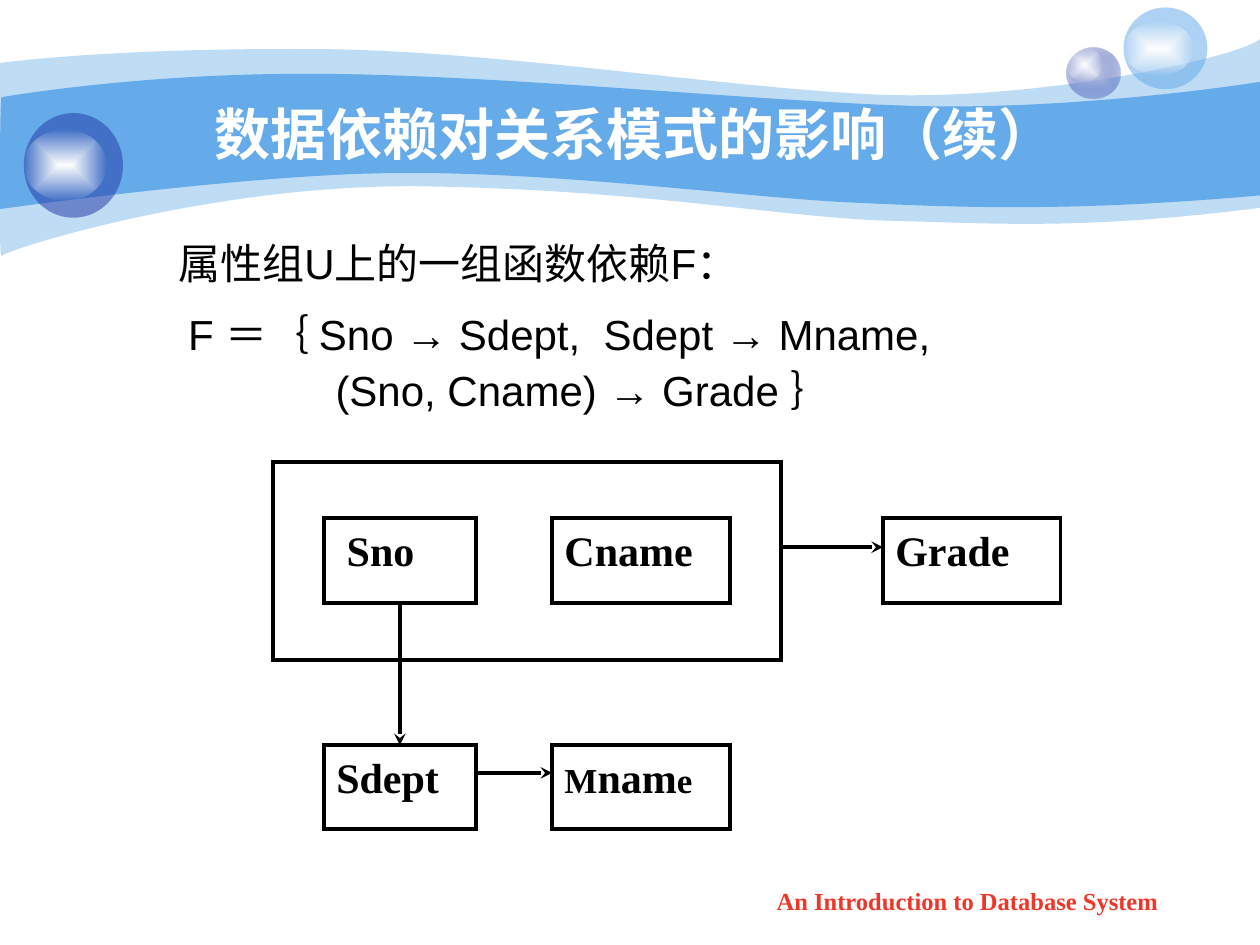
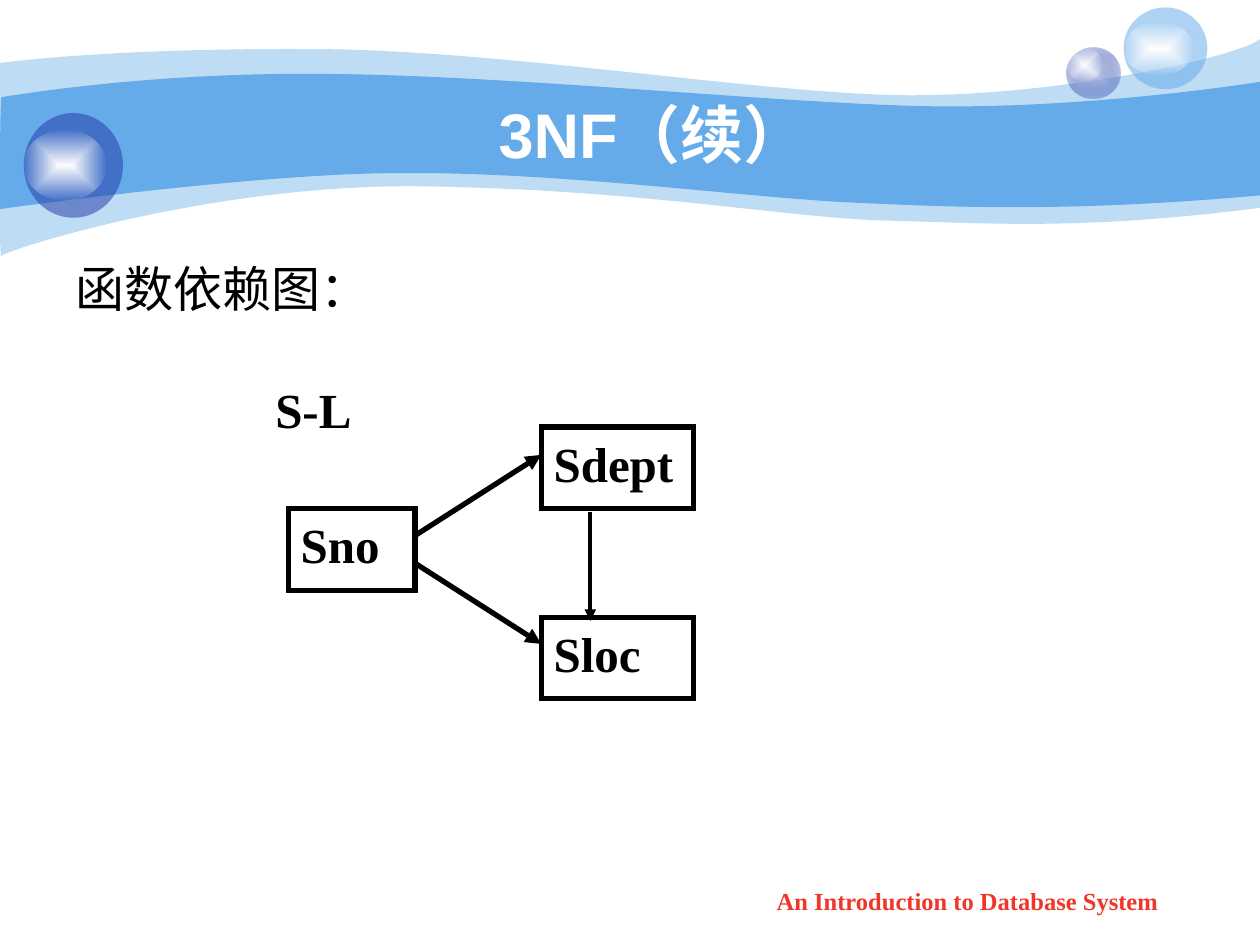
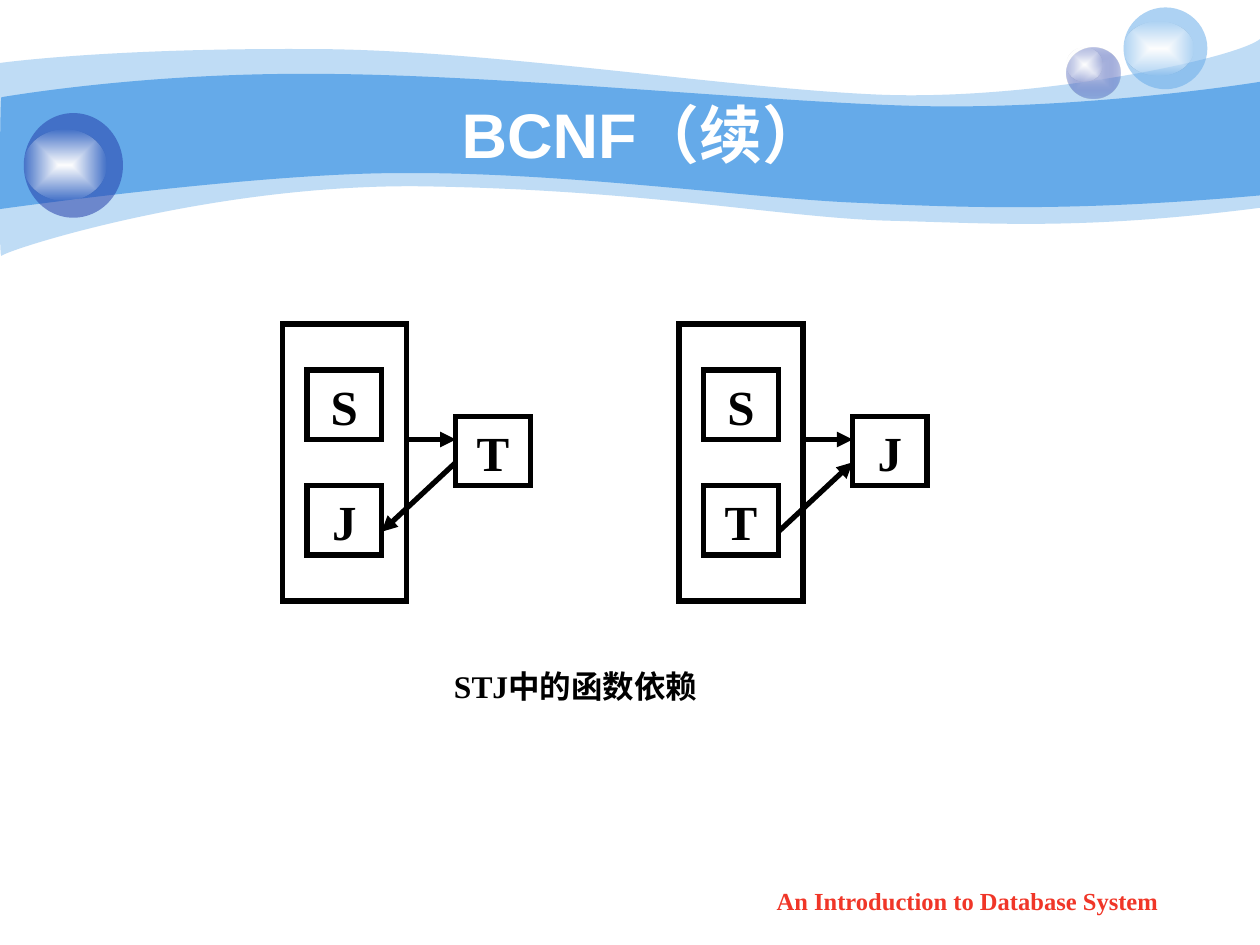
"""Build three slides on functional dependencies and normal forms."""
from dataclasses import dataclass

from lxml import etree
from pptx import Presentation
from pptx import util as u
from pptx.dml.color import RGBColor
from pptx.enum import shapes, text
from pptx.oxml import parse_xml
from pptx.oxml.ns import nsdecls, qn


@dataclass(frozen=True)
class Theme:
    sky: str = "65AAE9"
    navy: str = "233DA9"
    lilac: str = "C7CEE9"
    white: str = "FFFFFF"
    black: str = "000000"
    red: str = "F03628"
    sans: str = "Arial"
    serif: str = "Times New Roman"
    footer_size: int = 14
    caption_size: int = 18
    small_size: int = 20
    label_size: int = 24
    large_size: int = 28
    long_title_size: int = 32
    title_size: int = 36
    thin: float = 2.25
    thick: float = 3


THEME = Theme()
ALIGN = text.PP_ALIGN

FOOTER = "An Introduction to Database System"
FOOTER_BOUNDS = (14.5, 17.73, 10.01, 0.89)
TITLE_BOUNDS = (2.54, 1.9, 20.52, 1.58)

PALE_WAVE = [
    [(0, 1.27)],
    [(0.61, 1.19), (2.74, 0.97), (6.27, 0.99)],
    [(9.8, 0.99), (14.61, 1.78), (17.75, 1.91)],
    [(20.88, 2.03), (24.89, 1.19), (25.4, 0.79)],
    [(25.4, 4.19)],
    [(21.79, 4.65), (20.02, 4.5), (17.91, 4.45)],
    [(15.8, 4.39), (13.08, 3.84), (8.71, 3.76)],
    [(4.37, 3.66), (0.1, 5.05), (0.03, 5.16)],
    [(-0.03, 5.28), (0, 1.91), (0, 1.27)],
]
BLUE_WAVE = [
    [(0.03, 1.96)],
    [(0.05, 1.96), (2.79, 1.47), (6.3, 1.49)],
    [(9.83, 1.49), (15.14, 2.03), (18.24, 2.13)],
    [(21.36, 2.24), (24.79, 1.75), (25.4, 1.65)],
    [(25.4, 3.94)],
    [(21.67, 4.27), (19.43, 4.19), (17.32, 4.09)],
    [(15.21, 4.01), (11.35, 3.46), (8.05, 3.49)],
    [(5.16, 3.49), (-0.05, 4.22), (-0.03, 4.22)],
    [(0, 4.22), (0, 1.96), (0.03, 1.96)],
]
WAVES = [(PALE_WAVE, [(THEME.sky, 41)]), (BLUE_WAVE, [(THEME.sky, 100)])]

GLOW = [(THEME.white, 100), (THEME.white, 0)]
BUBBLES = [
    ((21.51, 0.96, 1.07, 1.02), [(THEME.lilac, 100), (THEME.navy, 31)]),
    ((21.51, 0.96, 0.71, 0.69), GLOW),
    ((22.65, 0.15, 1.69, 1.65), [(THEME.sky, 53)]),
    ((22.65, 0.43, 1.41, 1.09), GLOW),
    ((0.48, 2.28, 2, 2.11), [(THEME.navy, 53)]),
    ((0.48, 2.62, 1.67, 1.42), GLOW),
]

SMALL = {"size": THEME.small_size}
LABEL = {"size": THEME.label_size}
CENTERED = {"alignment": ALIGN.CENTER}
PLAIN = {"outline": None}


def dependency_panel(left, upper, lower, target, lower_is_source):
    """Return the boxes and arrows of one composite-key diagram."""
    letter_left, target_left = left + 0.5, left + 3.5
    boxes = [("", (left, 6.53, 2.5, 5.59), {})]
    for letter, x, y in [(upper, letter_left, 7.46), (lower, letter_left, 9.79),
                         (target, target_left, 8.39)]:
        boxes.append((letter, (x, y, 1.5, 1.4), CENTERED))
    diagonal = [(target_left, 9.32), (letter_left + 1.5, 10.72)]
    if lower_is_source:
        diagonal.reverse()
    arrows = [((left + 2.5, 8.86), (target_left, 8.86), THEME.thick),
              (*diagonal, THEME.thick)]
    return boxes, arrows


PANELS = [dependency_panel(5.69, "S", "J", "T", False),
          dependency_panel(13.69, "S", "T", "J", True)]

SLIDES = [
    {
        "title": ("数据依赖对关系模式的影响（续）", THEME.long_title_size, 0),
        "body_bounds": (2.74, 4.66, 21.59, 11.43),
        "body": [
            ("属性组U上的一组函数依赖F：", 0.6, {}),
            ("F ＝｛ Sno → Sdept,  Sdept → Mname,", 0.8,
             {"space_before": u.Pt(6), "line_spacing": 1.2}),
            ("(Sno, Cname) → Grade ｝", 3.77, {"space_before": u.Pt(3)}),
        ],
        "size": THEME.label_size,
        "outline": THEME.thin,
        "head": "stealth",
        "boxes": [
            ("", (5.51, 9.32, 10.24, 3.99), {}),
            ("Sno", (6.53, 10.45, 3.07, 1.7), {"indent": 0.21}),
            ("Cname", (11.13, 10.45, 3.58, 1.7), {}),
            ("Sdept", (6.53, 15.02, 3.07, 1.7), {}),
            ([("M", SMALL), ("nam", LABEL), ("e", SMALL)],
             (11.13, 15.02, 3.58, 1.7), {}),
            ("Grade", (17.8, 10.45, 3.58, 1.7), {}),
        ],
        "arrows": [
            ((8.06, 12.15), (8.06, 15.02), THEME.thin),
            ((9.6, 15.58), (11.13, 15.58), THEME.thin),
            ((15.75, 11.03), (17.8, 11.03), THEME.thin),
        ],
    },
    {
        "title": ("3NF（续）", THEME.title_size, 0.71),
        "body_bounds": (1.27, 5.08, 22.86, 12.5),
        "body": [("函数依赖图：", 0, {})],
        "size": THEME.large_size,
        "outline": THEME.thick,
        "head": "triangle",
        "boxes": [
            ("S-L", (5.3, 7.52, 3.07, 1.65), PLAIN),
            ("Sno", (5.81, 10.25, 2.56, 1.65), {}),
            ("Sdept", (10.91, 8.61, 3.07, 1.64), {}),
            ("Sloc", (10.91, 12.45, 3.07, 1.64), {}),
        ],
        "arrows": [
            ((8.36, 10.8), (10.91, 9.17), THEME.thick),
            ((8.36, 11.35), (10.91, 12.98), THEME.thick),
            ((11.9, 10.32), (11.9, 12.52), THEME.thin),
        ],
    },
    {
        "title": ("BCNF（续）", THEME.title_size, 0.35),
        "body": [],
        "size": THEME.large_size,
        "outline": THEME.thick,
        "head": "triangle",
        "boxes": [box for boxes, _ in PANELS for box in boxes] + [
            ("STJ中的函数依赖", (8.71, 13.32, 5.79, 1.4),
             {**PLAIN, **CENTERED, "size": THEME.caption_size}),
        ],
        "arrows": [arrow for _, arrows in PANELS for arrow in arrows],
    },
]


def lengths(values):
    """Convert centimetre values to lengths."""
    return [u.Cm(value) for value in values]


def place(shape, bounds):
    """Move and size a shape."""
    for name, value in zip(("left", "top", "width", "height"), lengths(bounds)):
        setattr(shape, name, value)


def write(paragraph, content, formats, indent=0, **paragraph_formats):
    """Fill a paragraph with text or (text, formats) runs."""
    properties = paragraph._p.get_or_add_pPr()
    properties.set("marL", str(u.Cm(indent)))
    properties.set("indent", "0")
    properties.append(parse_xml(f'<a:buNone {nsdecls("a")}/>'))
    for name, value in paragraph_formats.items():
        setattr(paragraph, name, value)
    runs = [(content, {})] if isinstance(content, str) else content
    for words, changes in runs:
        run = paragraph.add_run()
        run.text = words
        values = {**formats, **changes}
        run.font.color.rgb = RGBColor.from_string(values.pop("color"))
        run.font.size = u.Pt(values.pop("size"))
        for name, value in values.items():
            setattr(run.font, name, value)


def set_frame(frame, anchor):
    """Give a text frame fixed size, wrapping and an anchor."""
    settings = {"word_wrap": True, "auto_size": text.MSO_AUTO_SIZE.NONE,
                "vertical_anchor": anchor}
    for name, value in settings.items():
        setattr(frame, name, value)


def paint(shape, stops):
    """Fill a shape with one colour or a centred gradient of (colour, opacity)."""
    colours = [f'<a:srgbClr val="{colour}"><a:alpha val="{opacity * 1000}"/></a:srgbClr>'
               for colour, opacity in stops]
    if len(colours) == 1:
        xml = f'<a:solidFill {nsdecls("a")}>{colours[0]}</a:solidFill>'
    else:
        xml = (f'<a:gradFill {nsdecls("a")}><a:gsLst>'
               f'<a:gs pos="0">{colours[0]}</a:gs><a:gs pos="100000">{colours[1]}</a:gs>'
               '</a:gsLst><a:path path="rect">'
               '<a:fillToRect l="50000" t="50000" r="50000" b="50000"/></a:path></a:gradFill>')
    shape.shadow.inherit = False
    shape.line.fill.background()
    shape.fill.background()
    properties = shape.element.spPr
    properties.replace(properties.find(qn("a:noFill")), parse_xml(xml))


def add_wave(slide, segments):
    """Add a freeform whose three-point segments are cubic curves."""
    start, *rest = [lengths(point) for segment in segments for point in segment]
    builder = slide.shapes.build_freeform(*start)
    builder.add_line_segments(rest, close=True)
    wave = builder.convert_to_shape()
    lines = iter(wave.element.spPr.findall(".//" + qn("a:lnTo")))
    for segment in segments[1:]:
        first, *others = [next(lines) for _ in segment]
        if others:
            curve = etree.Element(qn("a:cubicBezTo"))
            first.addprevious(curve)
            for line in (first, *others):
                curve.append(line[0])
                line.getparent().remove(line)
    return wave


def decorate_master(master, slide):
    """Draw the waves and bubbles and move them to the slide master."""
    decorations = [(add_wave(slide, segments), stops) for segments, stops in WAVES]
    for bounds, stops in BUBBLES:
        bubble = slide.shapes.add_shape(shapes.MSO_SHAPE.OVAL, *lengths(bounds))
        decorations.append((bubble, stops))
    for number, (shape, stops) in enumerate(decorations):
        paint(shape, stops)
        shape.element.nvSpPr.cNvPr.set("id", str(20 + number))
        master.shapes.element.insert(2 + number, shape.element)


def draw_line(shape, width):
    """Give a shape or connector a black line with sharp joins."""
    shape.line.color.rgb = RGBColor.from_string(THEME.black)
    shape.line.width = u.Pt(width)
    line = shape.element.spPr.find(qn("a:ln"))
    line.append(parse_xml(f'<a:miter {nsdecls("a")} lim="800000"/>'))
    return line


def add_box(slide, content, bounds, size, outline, indent=0,
            alignment=ALIGN.JUSTIFY, color=THEME.black):
    """Add a serif label, outlined when an outline width is given."""
    if outline:
        shape = slide.shapes.add_shape(shapes.MSO_SHAPE.RECTANGLE, *lengths(bounds))
        shape.shadow.inherit = False
        shape.fill.background()
        draw_line(shape, outline)
    else:
        shape = slide.shapes.add_textbox(*lengths(bounds))
    set_frame(shape.text_frame, text.MSO_ANCHOR.TOP)
    if content:
        formats = {"name": THEME.serif, "size": size, "bold": True, "color": color}
        write(shape.text_frame.paragraphs[0], content, formats, indent,
              alignment=alignment)


def add_arrow(slide, start, end, width, head):
    """Add a straight arrow from start to end."""
    connector = slide.shapes.add_connector(
        shapes.MSO_CONNECTOR.STRAIGHT, *lengths(start + end))
    line = draw_line(connector, width)
    line.append(parse_xml(f'<a:tailEnd {nsdecls("a")} type="{head}"/>'))
    connector.element.spPr.append(parse_xml(f'<a:effectLst {nsdecls("a")}/>'))


def fill_slide(slide, content):
    """Write the title, body, diagram and footer of one slide."""
    title = slide.shapes.title
    place(title, TITLE_BOUNDS)
    set_frame(title.text_frame, text.MSO_ANCHOR.MIDDLE)
    words, size, indent = content["title"]
    write(title.text_frame.paragraphs[0], words,
          {"name": THEME.sans, "size": size, "bold": True, "color": THEME.white},
          indent, alignment=ALIGN.CENTER)
    if content["body"]:
        body = slide.placeholders[1]
        place(body, content["body_bounds"])
        frame = body.text_frame
        set_frame(frame, text.MSO_ANCHOR.TOP)
        formats = {"name": THEME.sans, "size": content["size"], "color": THEME.black}
        for number, (words, indent, spacing) in enumerate(content["body"]):
            paragraph = frame.add_paragraph() if number else frame.paragraphs[0]
            write(paragraph, words, formats, indent,
                  **{"space_before": u.Pt(0), **spacing})
    for words, bounds, options in content["boxes"]:
        defaults = {"size": content["size"], "outline": content["outline"]}
        add_box(slide, words, bounds, **{**defaults, **options})
    for start, end, width in content["arrows"]:
        add_arrow(slide, start, end, width, content["head"])
    add_box(slide, FOOTER, FOOTER_BOUNDS, THEME.footer_size, None,
            alignment=ALIGN.CENTER, color=THEME.red)


def main():
    """Build and save the presentation."""
    presentation = Presentation()
    presentation.slide_width, presentation.slide_height = lengths((25.4, 19.05))
    for number, content in enumerate(SLIDES):
        layout = presentation.slide_layouts[1 if content["body"] else 5]
        slide = presentation.slides.add_slide(layout)
        if number == 0:
            decorate_master(presentation.slide_master, slide)
        fill_slide(slide, content)
    presentation.save("out.pptx")


if __name__ == "__main__":
    main()
